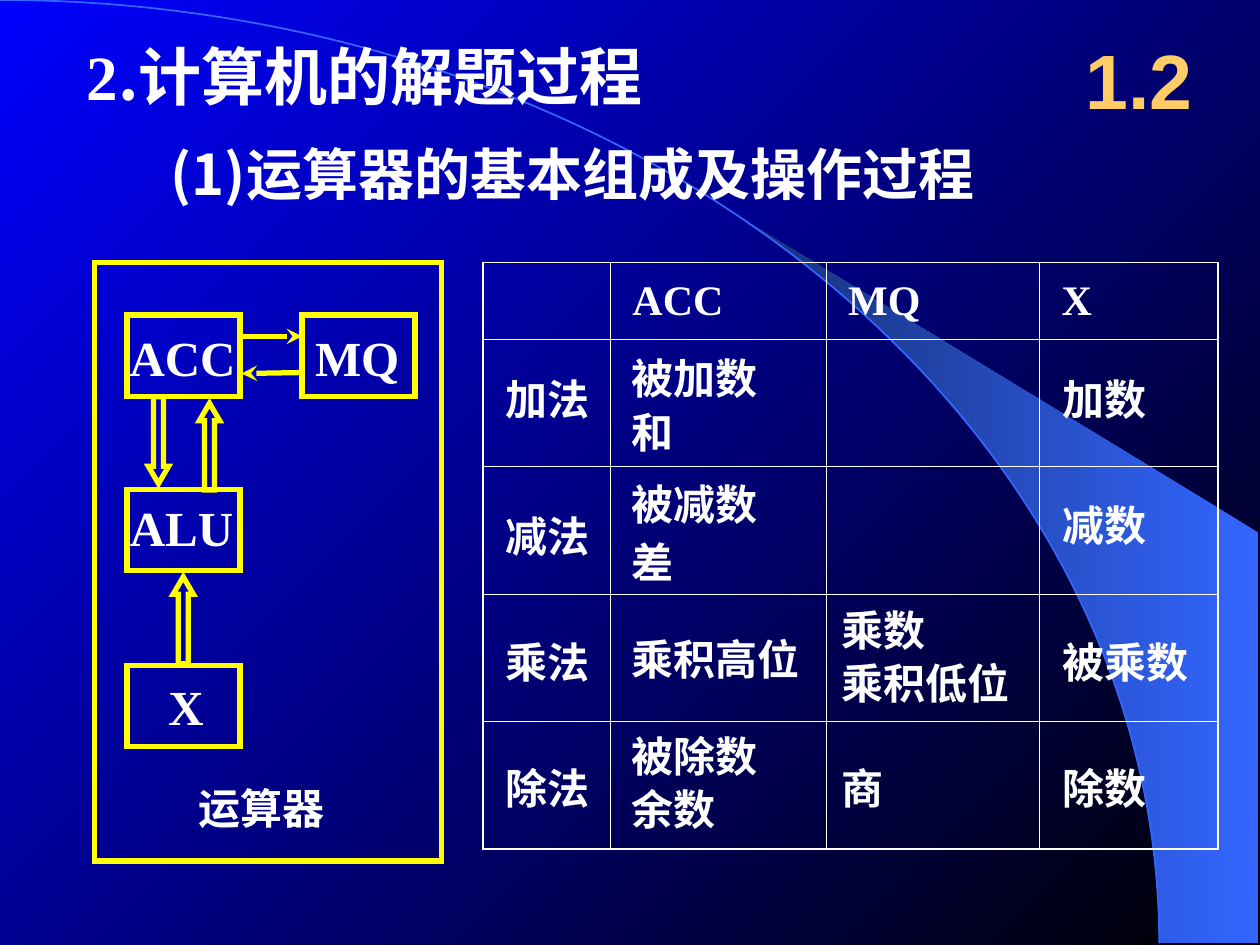
from dataclasses import dataclass
from math import asin, cos, pi, sin

from lxml.etree import SubElement
from pptx import Presentation
from pptx.dml.color import RGBColor
from pptx.enum.shapes import MSO_CONNECTOR, MSO_SHAPE
from pptx.enum.text import MSO_ANCHOR, MSO_AUTO_SIZE, PP_ALIGN
from pptx.oxml import parse_xml
from pptx.oxml.ns import nsdecls, qn
from pptx.util import Cm, Pt


@dataclass(frozen=True)
class Theme:
    white: str = "FFFFFF"
    gold: str = "FFCC66"
    yellow: str = "FFFF00"
    sky: str = "3366FF"
    dusk: str = "172F75"
    night: str = "000000"
    blue: str = "0000FF"
    serif: str = "Times New Roman"
    sans: str = "Arial"
    han: str = "Noto Sans CJK SC"
    title: int = 36
    head: int = 32
    mark: int = 44
    label: int = 28
    body: int = 24
    bold: float = 3
    rim: float = 1.08
    grid: float = 0.45


T = Theme()

# All lengths are in centimetres.
WIDE, HIGH = 25.4, 19.05
ARC_W, ARC_H = 23.37, 19.02
SWEEP_X, SWEEP_Y = 14.96, 10.74

HEADS = ["", "ACC", "MQ", "X"]
TABLE = (9.73, 5.29)
COLS = [2.57, 4.35, 4.3, 3.6]
ROWS = [1.55] + [2.57] * 4

# Each column of entries: left, width, then (top, text)
ENTRIES = [
    (9.95, 3, [(7.41, "加法"), (10.16, "减法"), (12.7, "乘法"), (15.24, "除法")]),
    (12.49, 5.08, [(6.99, "被加数"), (8.08, "和"), (9.53, "被减数"), (10.69, "差"),
                   (12.65, "乘积高位"), (14.61, "被除数"), (15.67, "余数")]),
    (16.71, 5.28, [(12.07, "乘数"), (13.13, "乘积低位"), (15.24, "商")]),
    (21.17, 3.81, [(7.41, "加数"), (9.95, "减数"), (12.7, "被乘数"), (15.24, "除数")]),
]

FRAME = (1.91, 5.29, 6.99, 12.07)
UNIT_W, UNIT_H = 2.28, 1.64
# Name, left and top of the unit, then left, top and width of its label
UNITS = [
    ("MQ", 6.09, 6.35, 6.35, 6.6, 1.7),
    ("ACC", 2.56, 6.35, 2.54, 6.6, 2.28),
    ("ALU", 2.56, 9.87, 2.52, 10.03, 2.28),
    ("X", 2.56, 13.41, 3.38, 13.64, 0.74),
]
# Left, top and turn of each hollow arrow
BUSES = [(4.02, 8.13, 0), (3.49, 11.63, 0), (2.99, 8, 180)]
LINKS = [(4.85, 6.78, 6.09, 6.78), (6.09, 7.51, 4.87, 7.53)]


def rgb(code):
    return RGBColor.from_string(code)


def blend(fill, first, last, angle):
    fill.gradient()
    fill.gradient_angle = angle
    for stop, code, pos in zip(fill.gradient_stops, (first, last), (0, 1)):
        stop.color.rgb = rgb(code)
        stop.position = pos


def write(par, text, size, color=T.white, font=T.serif):
    run = par.add_run()
    run.text = text
    run.font.size = Pt(size)
    run.font.bold = True
    run.font.name = font
    run.font.color.rgb = rgb(color)
    SubElement(run._r.get_or_add_rPr(), qn("a:ea"), typeface=T.han)


def label(slide, box, runs, align=PP_ALIGN.LEFT, wrap=True, inset=True,
          anchor=MSO_ANCHOR.TOP):
    """Add a text box; each run is (text, size[, color, font])."""
    frame = slide.shapes.add_textbox(*map(Cm, box)).text_frame
    frame.word_wrap = wrap
    if not wrap:
        frame.auto_size = MSO_AUTO_SIZE.SHAPE_TO_FIT_TEXT
    frame.vertical_anchor = anchor
    if not inset:
        frame.margin_left = frame.margin_right = 0
        frame.margin_top = frame.margin_bottom = 0
    par = frame.paragraphs[0]
    par.alignment = align
    for run in runs:
        write(par, *run)


def shape(slide, kind, box, color=T.yellow, width=T.bold):
    item = slide.shapes.add_shape(kind, *map(Cm, box))
    item.shadow.inherit = False
    item.fill.background()
    item.line.color.rgb = rgb(color)
    item.line.width = Pt(width)
    SubElement(item.line._get_or_add_ln(), qn("a:miter"), lim="800000")
    return item


def link(slide, ends):
    line = slide.shapes.add_connector(MSO_CONNECTOR.STRAIGHT, *map(Cm, ends))
    line.line.color.rgb = rgb(T.yellow)
    line.line.width = Pt(T.bold)
    SubElement(line.line._get_or_add_ln(), qn("a:tailEnd"), type="stealth")
    SubElement(line._element.spPr, qn("a:effectLst"))


def backdrop(slide):
    """Draw the sloping blue field, the shaded sweep and its arc."""
    blend(slide.background.fill, T.night, T.blue, 135)
    start, steps = asin(SWEEP_X / ARC_W), 24
    turns = [start + (pi / 2 - start) * i / steps for i in range(steps + 1)]
    curve = [(Cm(ARC_W * sin(t)), Cm(ARC_H * (1 - cos(t)))) for t in turns]
    edge = [(Cm(WIDE - 0.03), Cm(ARC_H)), (Cm(WIDE - 0.03), Cm(SWEEP_Y))]
    path = slide.shapes.build_freeform(*curve[0], scale=1.0)
    path.add_line_segments(curve[1:] + edge, close=True)
    sweep = path.convert_to_shape()
    sweep.shadow.inherit = False
    sweep.line.fill.background()
    blend(sweep.fill, T.sky, T.dusk, 180)
    shape(slide, MSO_SHAPE.ARC, (-ARC_W, 0, 2 * ARC_W, 2 * ARC_H), T.sky, 1)


def border(cell, outer):
    """Rule the four sides; outer tells which lie on the table's rim."""
    props = cell._tc.get_or_add_tcPr()
    for i, (side, rim) in enumerate(zip("LRTB", outer)):
        width = Pt(T.rim if rim else T.grid)
        props.insert(i, parse_xml(
            f'<a:ln{side} {nsdecls("a")} w="{width}"><a:solidFill>'
            f'<a:srgbClr val="{T.white}"/></a:solidFill></a:ln{side}>'))


def chart(slide):
    """Add the ruled table and the entries laid over it."""
    box = (*TABLE, sum(COLS), sum(ROWS))
    grid = slide.shapes.add_table(len(ROWS), len(COLS), *map(Cm, box)).table
    grid.first_row = grid.horz_banding = False
    for col, width in zip(grid.columns, COLS):
        col.width = Cm(width)
    for r, height in enumerate(ROWS):
        grid.rows[r].height = Cm(height)
        for c in range(len(COLS)):
            cell = grid.cell(r, c)
            cell.fill.background()
            border(cell, (c == 0, c == len(COLS) - 1, r == 0, r == len(ROWS) - 1))
    for c, head in enumerate(HEADS):
        if head:
            cell = grid.cell(0, c)
            cell.vertical_anchor = MSO_ANCHOR.MIDDLE
            cell.margin_left = Cm(0.45)
            write(cell.text_frame.paragraphs[0], head, T.body)
    for left, width, items in ENTRIES:
        for top, text in items:
            label(slide, (left, top, width, 1.27), [(text, T.body)])


def unit(slide):
    """Draw the arithmetic unit with its registers and data paths."""
    mid = {"align": PP_ALIGN.CENTER, "wrap": False, "inset": False}
    shape(slide, MSO_SHAPE.RECTANGLE, FRAME)
    label(slide, (3.93, 15.77, 2.7, 1.02), [("运算器", T.body)], **mid)
    for name, left, top, x, y, width in UNITS:
        shape(slide, MSO_SHAPE.RECTANGLE, (left, top, UNIT_W, UNIT_H))
        label(slide, (x, y, width, 1.19), [(name, T.label)], **mid)
    for left, top, turn in BUSES:
        bus = shape(slide, MSO_SHAPE.UP_ARROW, (left, top, 0.41, 1.75))
        bus.adjustments[0], bus.adjustments[1] = 0.5, 0.86
        bus.rotation = turn
    for ends in LINKS:
        link(slide, ends)


def main():
    deck = Presentation()
    deck.slide_width, deck.slide_height = Cm(WIDE), Cm(HIGH)
    slide = deck.slides.add_slide(deck.slide_layouts[6])
    backdrop(slide)
    label(slide, (1.1, 0.64, 12.5, 1.78),
          [("2", T.title), (".计算机的解题过程", T.title, T.white, T.han)],
          PP_ALIGN.CENTER, wrap=False)
    label(slide, (3.19, 2.69, 20.29, 1.63),
          [("(1)运算器的基本组成及操作过程", T.head, T.white, T.han)])
    label(slide, (21.38, 0.42, 3.18, 2.34), [("1.2", T.mark, T.gold, T.sans)],
          PP_ALIGN.CENTER, anchor=MSO_ANCHOR.MIDDLE)
    chart(slide)
    unit(slide)
    deck.save("out.pptx")


if __name__ == "__main__":
    main()
